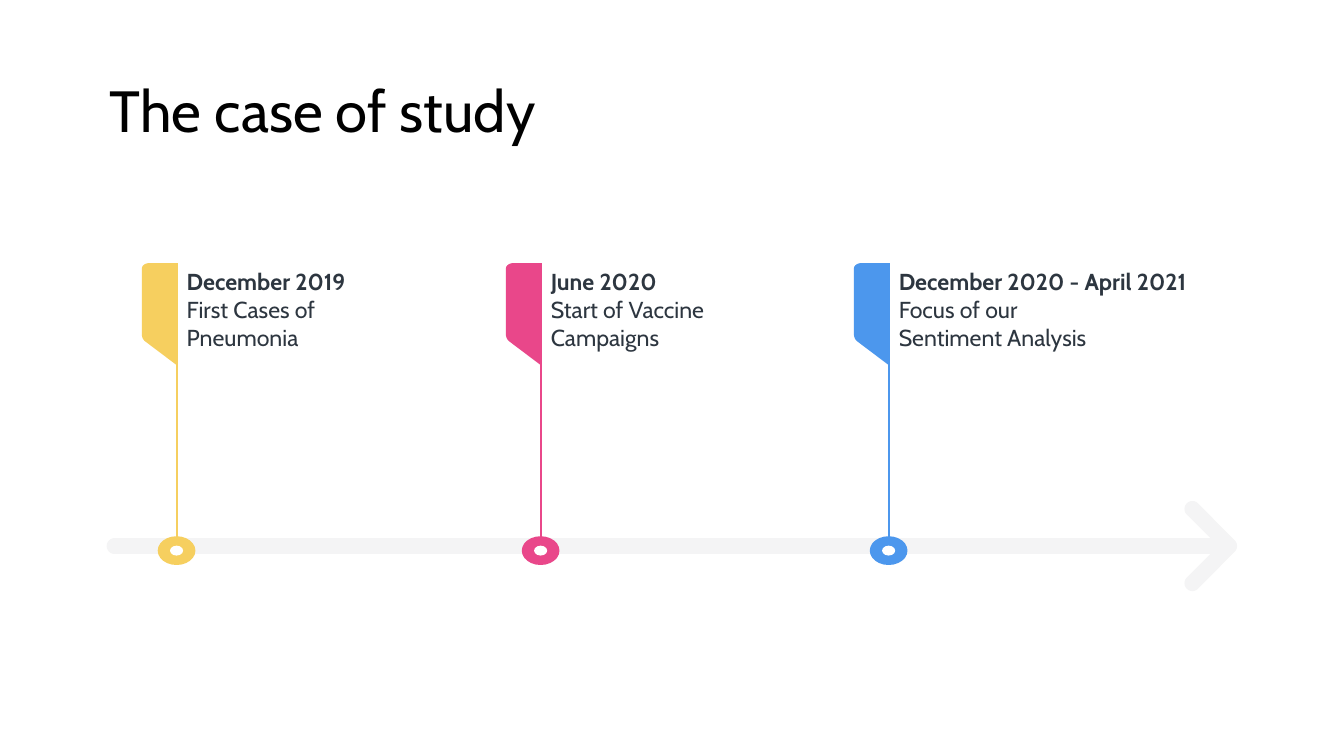
from math import cos, radians, sin

from lxml.etree import SubElement
from pptx import Presentation
from pptx.dml.color import RGBColor
from pptx.enum.shapes import MSO_CONNECTOR, MSO_SHAPE
from pptx.enum.text import MSO_ANCHOR
from pptx.oxml.ns import qn
from pptx.util import Cm, Pt

BLACK = RGBColor(0x00, 0x00, 0x00)
WHITE = RGBColor(0xFF, 0xFF, 0xFF)
INK = RGBColor(0x2D, 0x36, 0x40)
PALE_GREY = RGBColor(0xF4, 0xF4, 0xF5)
YELLOW = RGBColor(0xF6, 0xCF, 0x5F)
PINK = RGBColor(0xE9, 0x47, 0x8A)
BLUE = RGBColor(0x4C, 0x97, 0xED)

AXIS_Y = 27.52
DOT_Y = 27.75
FLAG_TOP = 13.26
FLAG_WIDTH, FLAG_HEIGHT = 1.78, 5.16

# Stem position, text width, colour, date, description lines
MILESTONES = [
    (8.9, 8.56, YELLOW, "December 2019", ["First Cases of Pneumonia"]),
    (27.25, 8.43, PINK, "June 2020", ["Start of Vaccine Campaigns"]),
    (44.79, 16.23, BLUE, "December 2020 - April 2021",
     ["Focus of our", "Sentiment Analysis"]),
]


def arc(center_x, center_y, radius_x, radius_y, start, end, steps=12):
    """Points on an elliptical arc; angles in degrees, clockwise from the right."""
    angles = [radians(start + (end - start) * i / steps) for i in range(steps + 1)]
    return [(center_x + radius_x * cos(a), center_y + radius_y * sin(a)) for a in angles]


class TimelineSlide:
    font_name = "Cabin"
    inset = Cm(0.16)

    def __init__(self, slide):
        self.slide = slide

    def paint(self, shape, color):
        shape.shadow.inherit = False
        shape.fill.solid()
        shape.fill.fore_color.rgb = color
        shape.line.fill.background()

    def text(self, left, top, width, height, lines, size, color,
             bold_first=False, anchor=MSO_ANCHOR.TOP):
        box = self.slide.shapes.add_textbox(Cm(left), Cm(top), Cm(width), Cm(height))
        frame = box.text_frame
        frame.word_wrap = True
        frame.vertical_anchor = anchor
        frame.margin_left = frame.margin_right = self.inset
        frame.margin_top = frame.margin_bottom = self.inset
        frame.text = "\n".join(lines)
        for index, paragraph in enumerate(frame.paragraphs):
            font = paragraph.runs[0].font
            font.name = self.font_name
            font.size = Pt(size)
            font.bold = bold_first and index == 0
            font.color.rgb = color

    def ellipse(self, center_x, center_y, width, height, color):
        shape = self.slide.shapes.add_shape(
            MSO_SHAPE.OVAL, Cm(center_x - width / 2), Cm(center_y - height / 2),
            Cm(width), Cm(height))
        self.paint(shape, color)

    def line(self, x, top, bottom, color):
        connector = self.slide.shapes.add_connector(
            MSO_CONNECTOR.STRAIGHT, Cm(x), Cm(bottom), Cm(x), Cm(top))
        connector.line.color.rgb = color
        connector.line.width = Pt(3)
        SubElement(connector._element.spPr, qn("a:effectLst"))

    def outline(self, points, color):
        first, *rest = [(Cm(x), Cm(y)) for x, y in points]
        builder = self.slide.shapes.build_freeform(*first)
        builder.add_line_segments(rest, close=True)
        self.paint(builder.convert_to_shape(), color)

    def arrow(self):
        radius = 0.4
        upper = [
            *arc(5.78, AXIS_Y, radius, radius, 180, 270),
            (61.01, AXIS_Y - radius),
            *arc(60.1, 25.65, radius, radius, 135, 315),
            *arc(61.95, AXIS_Y, radius, radius, 315, 360),
        ]
        lower = [(x, 2 * AXIS_Y - y) for x, y in reversed(upper)]
        self.outline(upper + lower, PALE_GREY)

    def flag(self, right, color):
        left = right - FLAG_WIDTH
        points = [
            (right, FLAG_TOP + FLAG_HEIGHT),
            *arc(left + 0.38, FLAG_TOP + 3.58, 0.38, 0.44, 120, 180),
            *arc(left + 0.38, FLAG_TOP + 0.28, 0.38, 0.28, 180, 270),
            (right, FLAG_TOP),
        ]
        self.outline(points, color)

    def milestone(self, x, text_width, color, date, description):
        self.text(x + 0.35, 13.34, text_width, 5.1, [date, *description], 33, INK,
                  bold_first=True)
        self.ellipse(x, DOT_Y, 1.9, 1.45, color)
        self.ellipse(x, DOT_Y, 0.66, 0.5, WHITE)
        self.line(x, FLAG_TOP, 27.36, color)
        self.flag(x + 0.03, color)


def main():
    presentation = Presentation()
    presentation.slide_width = Cm(67.74)
    presentation.slide_height = Cm(38.1)
    timeline = TimelineSlide(presentation.slides.add_slide(presentation.slide_layouts[6]))

    # Time axis
    timeline.arrow()

    # Milestones
    for milestone in MILESTONES:
        timeline.milestone(*milestone)

    # Title
    timeline.text(5.38, -0.94, 57.86, 12.9, ["The case of study"], 83, BLACK,
                  anchor=MSO_ANCHOR.MIDDLE)

    presentation.save("out.pptx")


if __name__ == "__main__":
    main()
